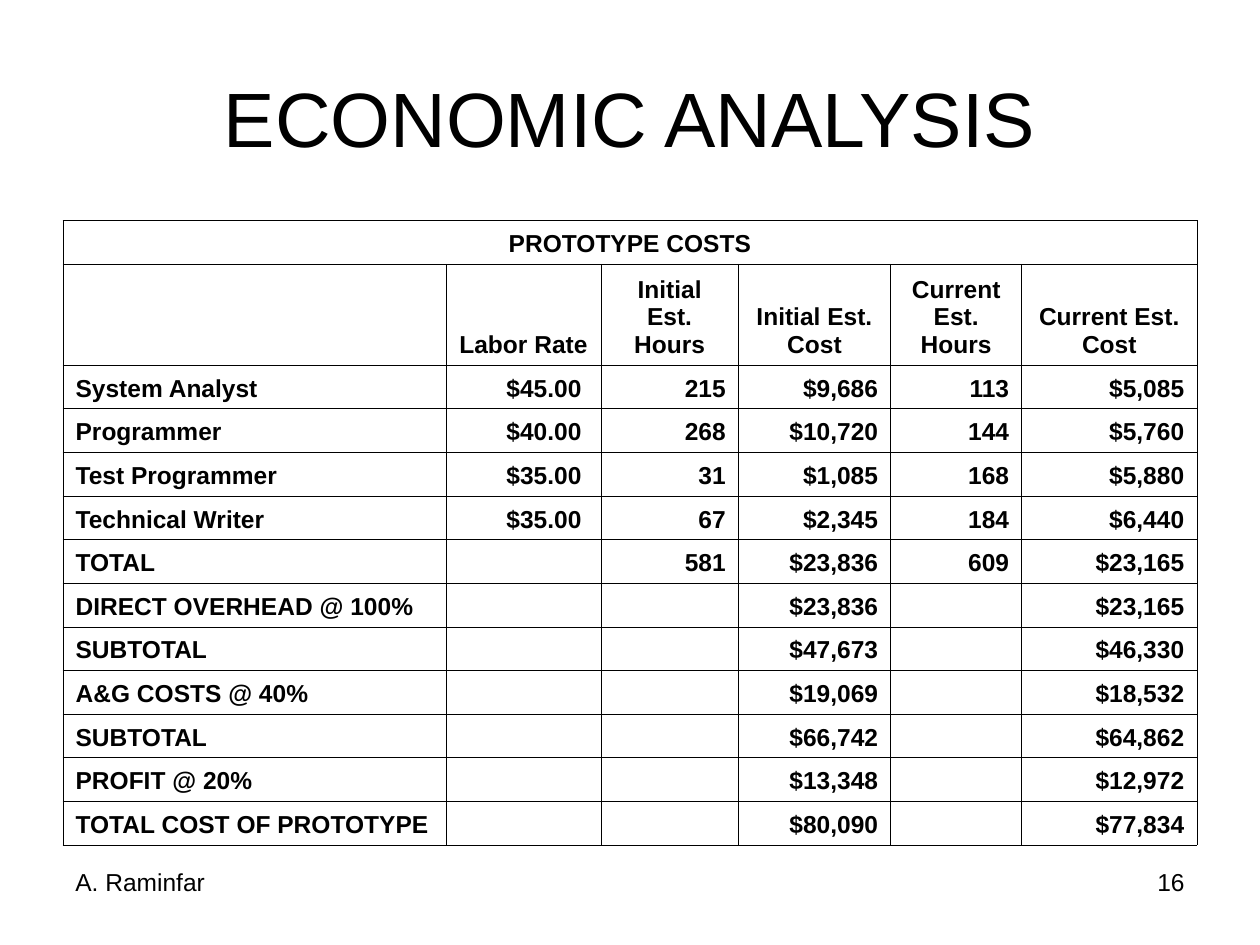
"""Build the economic analysis slide with its prototype cost table."""
from dataclasses import dataclass

from lxml import etree
from pptx import Presentation
from pptx.dml.color import RGBColor
from pptx.enum.text import MSO_ANCHOR, PP_ALIGN
from pptx.oxml.ns import qn
from pptx.slide import Slide
from pptx.table import _Cell
from pptx.text.text import TextFrame
from pptx.util import Inches, Pt

LEFT, CENTER, RIGHT = PP_ALIGN.LEFT, PP_ALIGN.CENTER, PP_ALIGN.RIGHT
TOP, MIDDLE, BOTTOM = MSO_ANCHOR.TOP, MSO_ANCHOR.MIDDLE, MSO_ANCHOR.BOTTOM
FONT = "Arial"
BLACK = "000000"
BODY_SIZE = 14
MARGIN = 0.5
WIDTH = 9
TABLE_TOP = 1.75
TABLE_HEIGHT = 4.96
HEADER_HEIGHT = 0.8
COL_WIDTHS = (3.04, 1.23, 1.09, 1.21, 1.04, 1.39)

HEADERS = ("", "Labor Rate", "Initial Est. Hours", "Initial Est. Cost",
           "Current Est. Hours", "Current Est. Cost")


@dataclass
class Cost:
    label: str
    initial_cost: str
    current_cost: str
    rate: str = ""
    initial_hours: str = ""
    current_hours: str = ""

    def cells(self) -> tuple[str, ...]:
        return (self.label, self.rate, self.initial_hours, self.initial_cost,
                self.current_hours, self.current_cost)


@dataclass
class Footer:
    text: str
    left: float
    align: PP_ALIGN


COSTS = (
    Cost("System Analyst", "$9,686", "$5,085", "$45.00 ", "215", "113"),
    Cost("Programmer", "$10,720", "$5,760", "$40.00 ", "268", "144"),
    Cost("Test Programmer", "$1,085", "$5,880", "$35.00 ", "31", "168"),
    Cost("Technical Writer", "$2,345", "$6,440", "$35.00 ", "67", "184"),
    Cost("TOTAL", "$23,836", "$23,165", "", "581", "609"),
    Cost("DIRECT OVERHEAD @ 100%", "$23,836", "$23,165"),
    Cost("SUBTOTAL", "$47,673", "$46,330"),
    Cost("A&G COSTS @ 40%", "$19,069", "$18,532"),
    Cost("SUBTOTAL", "$66,742", "$64,862"),
    Cost("PROFIT @ 20%", "$13,348", "$12,972"),
    Cost("TOTAL COST OF PROTOTYPE", "$80,090", "$77,834"),
)
FOOTERS = (Footer("16", 7.17, RIGHT), Footer("A. Raminfar", MARGIN, LEFT))


def color(value: str) -> RGBColor:
    return RGBColor.from_string(value)


def write(tf: TextFrame, text: str, size: float, align: PP_ALIGN,
          bold: bool = False) -> None:
    tf.text = text
    p = tf.paragraphs[0]
    p.alignment = align
    for r in p.runs:
        r.font.name = FONT
        r.font.size = Pt(size)
        r.font.bold = bold
        r.font.color.rgb = color(BLACK)
    if not text:
        etree.SubElement(p._p, qn("a:endParaRPr"), sz=str(size * 100))


def add_borders(cell: _Cell) -> None:
    tcPr = cell._tc.get_or_add_tcPr()
    for i, side in enumerate(("lnL", "lnR", "lnT", "lnB")):
        ln = etree.Element(qn(f"a:{side}"), w=str(Pt(0.45)))
        fill = etree.SubElement(ln, qn("a:solidFill"))
        etree.SubElement(fill, qn("a:srgbClr"), val=BLACK)
        tcPr.insert(i, ln)


def fill_cell(cell: _Cell, text: str, align: PP_ALIGN) -> None:
    write(cell.text_frame, text, BODY_SIZE, align, bold=True)
    cell.vertical_anchor = BOTTOM
    cell.margin_left = cell.margin_right = Inches(0.1)
    cell.margin_top = cell.margin_bottom = Inches(0.05)
    cell.fill.background()
    add_borders(cell)


def add_cost_table(s: Slide) -> None:
    rows = [("PROTOTYPE COSTS",) + ("",) * (len(HEADERS) - 1), HEADERS]
    rows += [cost.cells() for cost in COSTS]
    table = s.shapes.add_table(
        len(rows), len(HEADERS), Inches(MARGIN), Inches(TABLE_TOP),
        Inches(WIDTH), Inches(TABLE_HEIGHT)).table
    table.first_row = table.horz_banding = False
    for col, width in zip(table.columns, COL_WIDTHS):
        col.width = Inches(width)
    row_height = (TABLE_HEIGHT - HEADER_HEIGHT) / (len(rows) - 1)
    for i, values in enumerate(rows):
        table.rows[i].height = Inches(HEADER_HEIGHT if i == 1 else row_height)
        for j, text in enumerate(values):
            align = CENTER if i < 2 else RIGHT if j else LEFT
            fill_cell(table.cell(i, j), text, align)
    table.cell(0, 0).merge(table.cell(0, len(HEADERS) - 1))


def add_title(s: Slide) -> None:
    sp = s.shapes.title
    sp.left, sp.top = Inches(MARGIN), Inches(0.3)
    sp.width, sp.height = Inches(WIDTH), Inches(1.25)
    write(sp.text_frame, "ECONOMIC ANALYSIS", 44, CENTER)
    sp.text_frame.vertical_anchor = MIDDLE


def add_footer(s: Slide, footer: Footer) -> None:
    sp = s.shapes.add_textbox(Inches(footer.left), Inches(6.83),
                              Inches(2.33), Inches(0.52))
    tf = sp.text_frame
    tf.word_wrap = True
    tf.vertical_anchor = TOP
    write(tf, footer.text, BODY_SIZE, footer.align)


def main() -> None:
    prs = Presentation()
    prs.slide_width, prs.slide_height = Inches(10), Inches(7.5)
    s = prs.slides.add_slide(prs.slide_layouts.get_by_name("Title Only"))
    add_title(s)
    add_cost_table(s)
    for footer in FOOTERS:
        add_footer(s, footer)
    prs.save("out.pptx")


if __name__ == "__main__":
    main()
